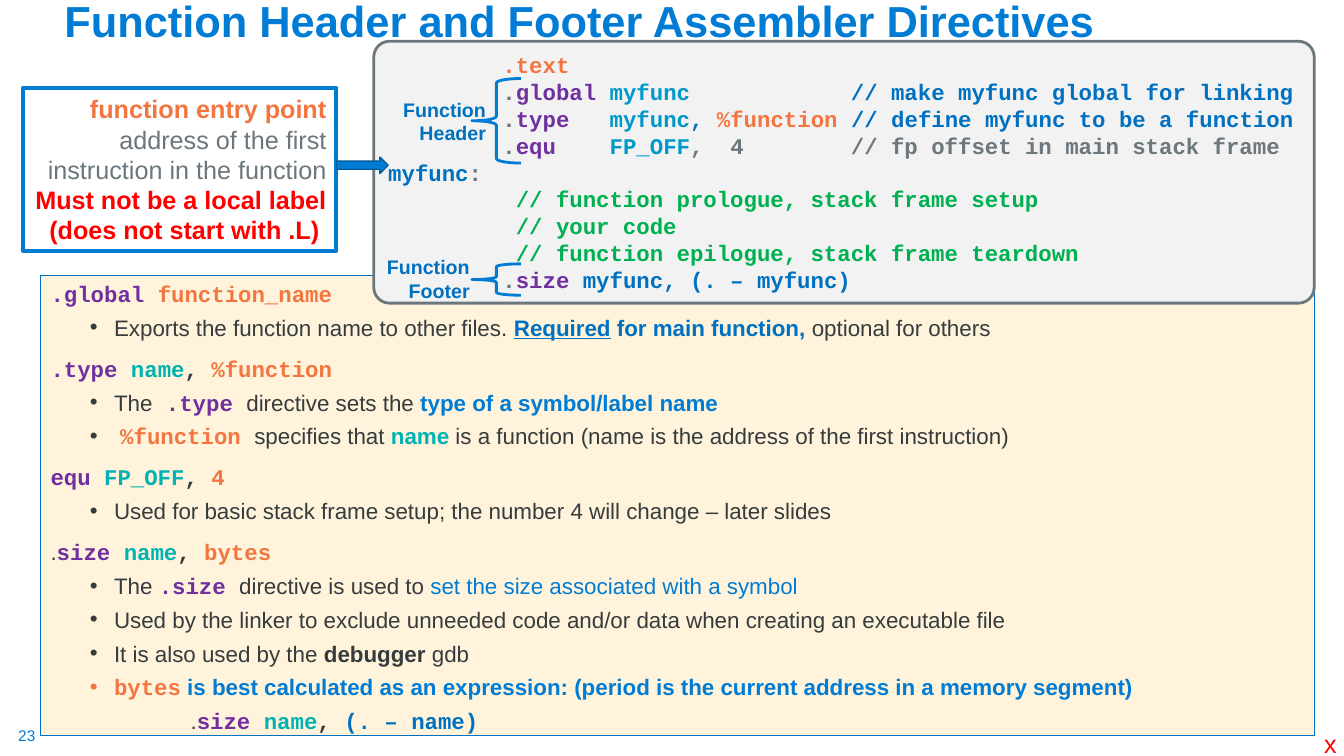
from collections import namedtuple

import pptx
import pptx.dml.color
import pptx.enum.shapes
import pptx.enum.text
import pptx.oxml
import pptx.oxml.ns
import pptx.util

Cm, Pt = pptx.util.Cm, pptx.util.Pt
ShapeType = pptx.enum.shapes.MSO_SHAPE
Anchor = pptx.enum.text.MSO_ANCHOR
Align = pptx.enum.text.PP_ALIGN
Box = namedtuple("Box", "left top width height")
Style = namedtuple("Style", "font color bold underline", defaults=(False, False))


class Theme:
    sans, mono = "Arial", "Courier New"
    blue, link, dark_blue = "007CD5", "0070C0", "005C9E"
    orange, purple, teal, cyan = "F3753F", "7030A0", "00B2B1", "0098C9"
    green, red, gray, ink = "00B050", "FF0000", "6B767D", "363B3E"
    cream, panel = "FFF4DB", "F2F2F2"
    title_size, callout_size, text_size, label_size, number_size = 31, 18, 16, 14, 11


PLAIN = Style(Theme.sans, Theme.ink)
BOLD = Style(Theme.sans, Theme.ink, True)
BLUE = Style(Theme.sans, Theme.blue)
BLUE_BOLD = Style(Theme.sans, Theme.blue, True)
LINK = Style(Theme.sans, Theme.link, True)
LINK_LINE = Style(Theme.sans, Theme.link, True, True)
TEAL = Style(Theme.sans, Theme.teal, True)
KEYWORD = Style(Theme.mono, Theme.purple, True)
SYMBOL = Style(Theme.mono, Theme.teal, True)
NAME = Style(Theme.mono, Theme.cyan, True)
VALUE = Style(Theme.mono, Theme.orange, True)
COMMA = Style(Theme.mono, Theme.ink, True)
CODE = Style(Theme.mono, Theme.gray, True)
CODE_BLUE = Style(Theme.mono, Theme.link, True)
COMMENT = Style(Theme.mono, Theme.green, True)

# Each entry: directive runs, then the bullets that explain it.
DIRECTIVES = [
    ([(".global ", KEYWORD), ("function_name", VALUE)],
     [[("Exports the function name to other files. ", PLAIN), ("Required", LINK_LINE),
       (" for main function, ", LINK), ("optional for others", PLAIN)]]),
    ([(".type ", KEYWORD), ("name", SYMBOL), (", ", COMMA), ("%function", VALUE)],
     [[("The", PLAIN), (" .type ", KEYWORD), ("directive sets the ", PLAIN),
       ("type of a symbol/label name", BLUE_BOLD)],
      [(" ", PLAIN), ("%function ", VALUE), ("specifies that ", PLAIN), ("name", TEAL),
       (" is a function (name is the address of the first instruction)", PLAIN)]]),
    ([("equ ", KEYWORD), ("FP_OFF", SYMBOL), (", ", COMMA), ("4", VALUE)],
     [[("Used for basic stack frame setup; the number 4 will change – later slides", PLAIN)]]),
    ([(".", PLAIN), ("size ", KEYWORD), ("name", SYMBOL), (", ", COMMA), ("bytes", VALUE)],
     [[("The ", PLAIN), (".size ", KEYWORD), ("directive is used to ", PLAIN),
       ("set the size associated with a symbol", BLUE)],
      [("Used by the linker to exclude unneeded code and/or data when creating an "
        "executable file", PLAIN)],
      [("It is also used by the ", PLAIN), ("debugger ", BOLD), ("gdb", PLAIN)],
      [("bytes", VALUE), (" is best calculated as an expression: "
                          "(period is the current address in a memory segment)", BLUE_BOLD)]]),
]
EXPRESSION = [(".", PLAIN), ("size ", KEYWORD), ("name", SYMBOL), (", ", COMMA),
              ("(. – name)", CODE_BLUE)]

LISTING = [
    [("\t ", CODE), (".text", VALUE)],
    [("\t .", CODE), ("global ", KEYWORD), ("myfunc", NAME),
     ("            // make myfunc global for linking", CODE_BLUE)],
    [("\t .", CODE), ("type   ", KEYWORD), ("myfunc", NAME), (", ", CODE_BLUE),
     ("%function ", VALUE), ("// define myfunc to be a function", CODE_BLUE)],
    [("\t .", CODE), ("equ    ", KEYWORD), ("FP_OFF", NAME),
     (",  4        // fp offset in main stack frame", CODE)],
    [("myfunc", CODE_BLUE), (":", CODE)],
    [("\t  // function prologue, stack frame setup", COMMENT)],
    [("\t  // your code", COMMENT)],
    [("\t  // function epilogue, stack frame teardown", COMMENT)],
    [("\t .", CODE), ("size ", KEYWORD), ("myfunc, (. – myfunc)", CODE_BLUE)],
]

ENTRY_POINT = [
    ("function entry point", Theme.orange, True),
    ("address of the first instruction in the function", Theme.gray, False),
    ("Must not be a local label (does not start with .L) ", Theme.red, True),
]


def rgb(color):
    return pptx.dml.color.RGBColor.from_string(color)


def place(shape, box):
    shape.left, shape.top, shape.width, shape.height = (Cm(length) for length in box)


def set_font(font, style, size):
    font.name, font.size, font.bold = style.font, Pt(size), style.bold
    font.color.rgb = rgb(style.color)
    if style.underline:
        font.underline = True


def paint(shape, fill, line, width):
    if fill:
        shape.fill.solid()
        shape.fill.fore_color.rgb = rgb(fill)
    else:
        shape.fill.background()
    shape.line.color.rgb = rgb(line)
    shape.line.width = Pt(width)


def add_preset(slide, kind, box, fill, line, width):
    shape = slide.shapes.add_shape(kind, *(Cm(length) for length in box))
    shape.shadow.inherit = False
    paint(shape, fill, line, width)
    return shape


def next_paragraph(frame):
    """Return the empty first paragraph, or a new one after the text."""
    first = frame.paragraphs[0]
    return frame.add_paragraph() if first.runs else first


def write_runs(paragraph, runs, size):
    if len(runs) == 1:
        set_font(paragraph.font, runs[0][1], size)
    for text, style in runs:
        run = paragraph.add_run()
        run.text = text
        if len(runs) > 1:
            set_font(run.font, style, size)


def add_property(paragraph, xml):
    """Append a bullet or tab element, given without its namespace, to a paragraph."""
    element = pptx.oxml.parse_xml(xml.replace(" ", f" {pptx.oxml.ns.nsdecls('a')} ", 1))
    paragraph._p.get_or_add_pPr().append(element)


def indent(paragraph, left, hanging=0, bullet=None):
    properties = paragraph._p.get_or_add_pPr()
    properties.set("marL", str(Cm(left)))
    properties.set("indent", str(-Cm(hanging)))
    add_property(paragraph, f'<a:buChar char="{bullet}"/>' if bullet else "<a:buNone />")


def add_text(slide, box, text, style, size, align=Align.LEFT, wrap=True):
    shape = slide.shapes.add_textbox(*(Cm(length) for length in box))
    frame = shape.text_frame
    frame.word_wrap = wrap
    paragraph = frame.paragraphs[0]
    paragraph.alignment = align
    write_runs(paragraph, [(text, style)], size)
    return frame


def fill_title(title, box):
    place(title, box)
    frame = title.text_frame
    frame.auto_size = pptx.enum.text.MSO_AUTO_SIZE.NONE
    frame.vertical_anchor = Anchor.BOTTOM
    paragraph = frame.paragraphs[0]
    paragraph.alignment, paragraph.line_spacing = Align.LEFT, 0.9
    write_runs(paragraph, [("Function Header and Footer Assembler Directives", BLUE_BOLD)],
               Theme.title_size)


def fill_directives(body, box):
    place(body, box)
    paint(body, Theme.cream, Theme.link, 0.75)
    frame = body.text_frame
    frame.auto_size = pptx.enum.text.MSO_AUTO_SIZE.NONE

    def add_line(runs, space, level, **indents):
        paragraph = next_paragraph(frame)
        paragraph.level, paragraph.space_before = level, Pt(space)
        indent(paragraph, **indents)
        write_runs(paragraph, runs, Theme.text_size)

    for number, (heading, bullets) in enumerate(DIRECTIVES):
        add_line(heading, 10 if number else 0, 0, left=0)
        for bullet in bullets:
            add_line(bullet, 5, 1, left=1.6, hanging=0.61, bullet="•")
    add_line(EXPRESSION, 5, 1, left=3.53)


def add_listing(slide, box):
    panel = add_preset(slide, ShapeType.ROUNDED_RECTANGLE, box, Theme.panel, Theme.gray, 2)
    panel.adjustments[0] = 0.06
    frame = panel.text_frame
    frame.word_wrap, frame.vertical_anchor = True, Anchor.MIDDLE
    for runs in LISTING:
        paragraph = next_paragraph(frame)
        paragraph.alignment = Align.LEFT
        add_property(paragraph, f'<a:tabLst ><a:tab pos="{Cm(2.54)}" algn="l"/></a:tabLst>')
        write_runs(paragraph, runs, Theme.text_size)
    for name, left, top, brace_top, brace_height in [("Header", 0.36, 1.3, 0.94, 2.13),
                                                     ("Footer", -0.05, 5.26, 5.61, 0.79)]:
        brace = add_preset(slide, ShapeType.LEFT_BRACE,
                           Box(box.left + 2.47, box.top + brace_top, 1.24, brace_height),
                           None, Theme.blue, 2)
        brace.adjustments[0] = 0.09
        add_text(slide, Box(box.left + left, box.top + top, 2.72, 1.45), f"Function {name}",
                 LINK, Theme.label_size, Align.RIGHT)


def add_entry_point(slide, box):
    callout = add_preset(slide, ShapeType.RECTANGLE, box, None, Theme.blue, 2.75)
    frame = callout.text_frame
    frame.word_wrap, frame.vertical_anchor = True, Anchor.MIDDLE
    for text, color, bold in ENTRY_POINT:
        paragraph = next_paragraph(frame)
        paragraph.alignment = Align.RIGHT
        write_runs(paragraph, [(text, Style(Theme.sans, color, bold))], Theme.callout_size)
    add_preset(slide, ShapeType.RIGHT_ARROW, Box(box.left + box.width, box.top + 1.75, 1.3, 0.41),
               Theme.blue, Theme.dark_blue, 1)


def add_corner_marks(slide, box):
    number = add_text(slide, Box(box.left + 0.46, box.height - 0.74, 0.48, 0.48), "23", BLUE,
                      Theme.number_size, wrap=False)
    number.margin_left = number.margin_right = number.margin_top = number.margin_bottom = 0
    add_text(slide, Box(box.width - 0.75, box.height - 0.81, 0.84, 1.02), "x",
             Style(Theme.sans, Theme.red), Theme.callout_size, wrap=False)


def main():
    presentation = pptx.Presentation()
    page = Box(0, 0, 33.87, 19.05)
    presentation.slide_width, presentation.slide_height = Cm(page.width), Cm(page.height)
    slide = presentation.slides.add_slide(presentation.slide_layouts[1])
    fill_title(slide.shapes.title, Box(1.37, 0, 29.21, 1.32))
    fill_directives(slide.placeholders[1], Box(1.02, 6.93, 32.11, 11.61))
    add_listing(slide, Box(9.42, 1.04, 23.7, 6.6))
    add_entry_point(slide, Box(0.58, 2.21, 7.9, 4.11))
    add_corner_marks(slide, page)
    presentation.save("out.pptx")


if __name__ == "__main__":
    main()
